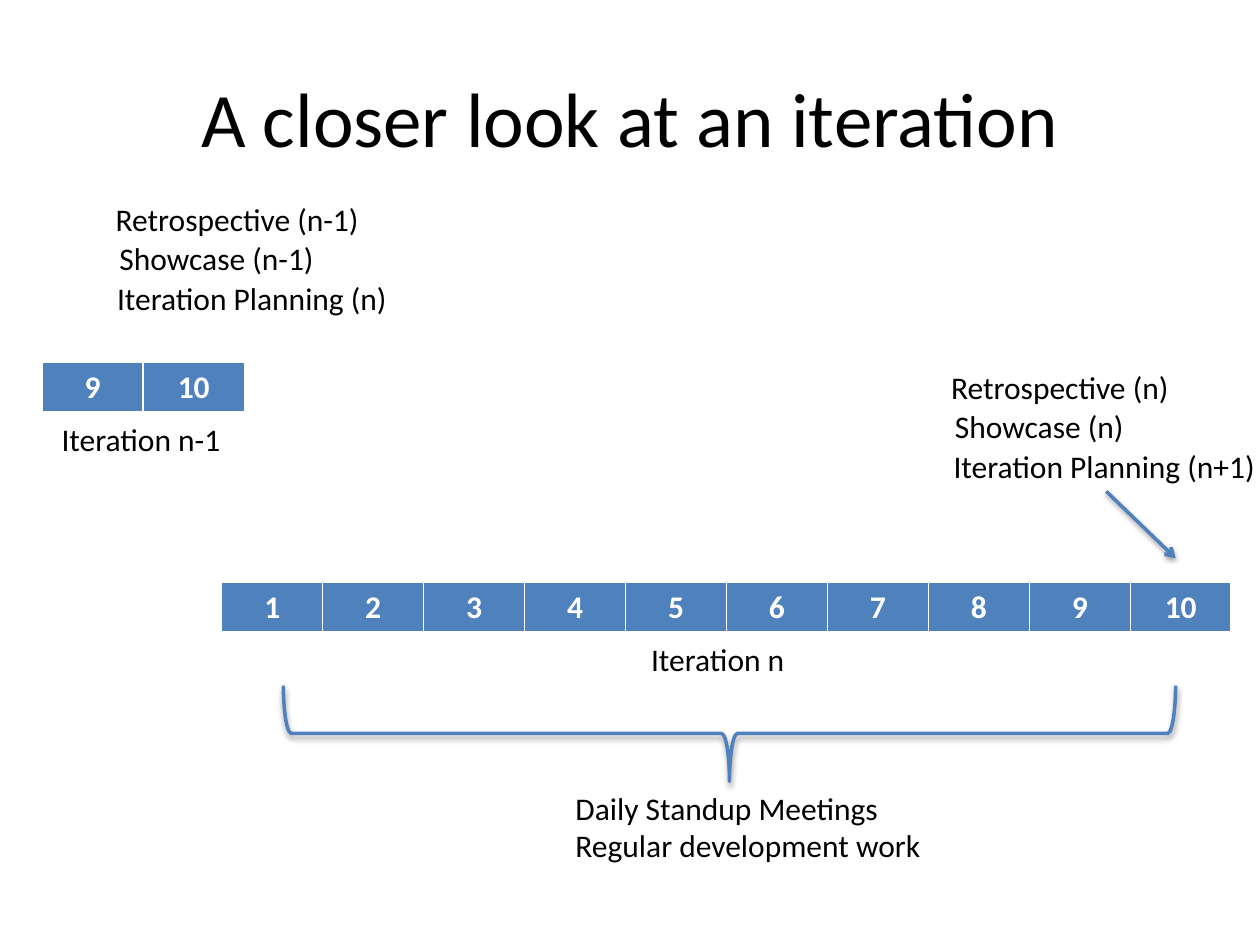
from typing import NamedTuple

from lxml.etree import SubElement
from pptx import Presentation
from pptx.dml.color import RGBColor
from pptx.enum.shapes import MSO_CONNECTOR as Connector, MSO_SHAPE as Preset
from pptx.enum.text import MSO_ANCHOR as Anchor, MSO_AUTO_SIZE as AutoSize, PP_ALIGN as Align
from pptx.oxml.ns import qn
from pptx.util import Pt

COLORS = {"text": "000000", "white": "FFFFFF", "blue": "4F81BD", "shadow": "000000"}
FONT = "Calibri"
ROW_HEIGHT = 29.2
BORDERS = {"lnL": 1, "lnR": 1, "lnT": 1, "lnB": 3}


class Label(NamedTuple):
    text: str
    left: float
    top: float
    width: float
    height: float = 29.08


class Timeline(NamedTuple):
    first_day: int
    last_day: int
    left: float
    top: float
    day_width: float


LABELS = [
    Label("Retrospective (n-1)", 59, 110.9, 154.8),
    Label("Showcase (n-1)", 61.2, 133.2, 126.7),
    Label("Iteration Planning (n)", 59.8, 156.2, 170.6),
    Label("Iteration n-1", 28.1, 236.4, 106.6),
    Label("Iteration n", 365, 362.2, 91.4),
    Label("Daily Standup Meetings\nRegular development work", 321.8, 447.1, 213.8, 50.9),
    Label("Retrospective (n)", 536.4, 207, 145.4),
    Label("Showcase (n)", 538.6, 229, 111.6),
    Label("Iteration Planning (n+1)", 537.8, 252, 188.6),
]
TIMELINES = [
    Timeline(1, 10, 126.7, 332.8, 57.7),
    Timeline(9, 10, 24, 207, 57.8),
]


def color(name: str) -> RGBColor:
    return RGBColor.from_string(COLORS[name])


def write(frame, text: str, *, size: float = 18, fill: str = "text",
          bold: bool = False, align=Align.LEFT) -> None:
    frame.text = text
    for paragraph in frame.paragraphs:
        paragraph.alignment = align
        for run in paragraph.runs:
            run.font.name = FONT
            run.font.size = Pt(size)
            run.font.bold = bold
            run.font.color.rgb = color(fill)


def draw_label(slide, label: Label) -> None:
    box = slide.shapes.add_textbox(Pt(label.left), Pt(label.top), Pt(label.width), Pt(label.height))
    box.text_frame.word_wrap = False
    box.text_frame.auto_size = AutoSize.SHAPE_TO_FIT_TEXT
    write(box.text_frame, label.text)


def add_borders(cell) -> None:
    properties = cell._tc.get_or_add_tcPr()
    for side, width in BORDERS.items():
        border = SubElement(properties, qn(f"a:{side}"), w=str(Pt(width)))
        solid = SubElement(border, qn("a:solidFill"))
        SubElement(solid, qn("a:srgbClr"), val=COLORS["white"])


def draw_timeline(slide, timeline: Timeline) -> None:
    days = range(timeline.first_day, timeline.last_day + 1)
    table = slide.shapes.add_table(
        1, len(days), Pt(timeline.left), Pt(timeline.top),
        Pt(timeline.day_width * len(days)), Pt(ROW_HEIGHT)).table
    for column, day in enumerate(days):
        table.columns[column].width = Pt(timeline.day_width)
        cell = table.cell(0, column)
        add_borders(cell)
        cell.fill.solid()
        cell.fill.fore_color.rgb = color("blue")
        write(cell.text_frame, str(day), fill="white", bold=True, align=Align.CENTER)


def style_line(shape, arrow: bool = False) -> None:
    shape.line.color.rgb = color("blue")
    shape.line.width = Pt(2)
    if arrow:
        SubElement(shape.line._get_or_add_ln(), qn("a:tailEnd"), type="arrow")
    effects = SubElement(shape._element.spPr, qn("a:effectLst"))
    shadow = SubElement(effects, qn("a:outerShdw"), blurRad=str(Pt(3.1)), dist=str(Pt(1.6)),
                        dir="5400000", rotWithShape="0")
    tint = SubElement(shadow, qn("a:srgbClr"), val=COLORS["shadow"])
    SubElement(tint, qn("a:alpha"), val="38000")


def draw_brace(slide) -> None:
    brace = slide.shapes.add_shape(Preset.LEFT_BRACE, Pt(389.5), Pt(164.2), Pt(54.7), Pt(509.8))
    brace.rotation = 270
    brace.fill.background()
    style_line(brace)


def draw_arrow(slide) -> None:
    arrow = slide.shapes.add_connector(Connector.STRAIGHT, Pt(632.2), Pt(280.8), Pt(671.8), Pt(319))
    style_line(arrow, arrow=True)


def main() -> None:
    deck = Presentation()
    deck.slide_width, deck.slide_height = Pt(720), Pt(540)
    slide = deck.slides.add_slide(deck.slide_layouts[5])

    title = slide.shapes.title
    title.left, title.top, title.width, title.height = Pt(36), Pt(21.6), Pt(648), Pt(90)
    title.text_frame.vertical_anchor = Anchor.MIDDLE
    write(title.text_frame, "A closer look at an iteration", size=44, align=Align.CENTER)

    for timeline in TIMELINES:
        draw_timeline(slide, timeline)
    for label in LABELS:
        draw_label(slide, label)
    draw_brace(slide)
    draw_arrow(slide)
    deck.save("out.pptx")


if __name__ == "__main__":
    main()
